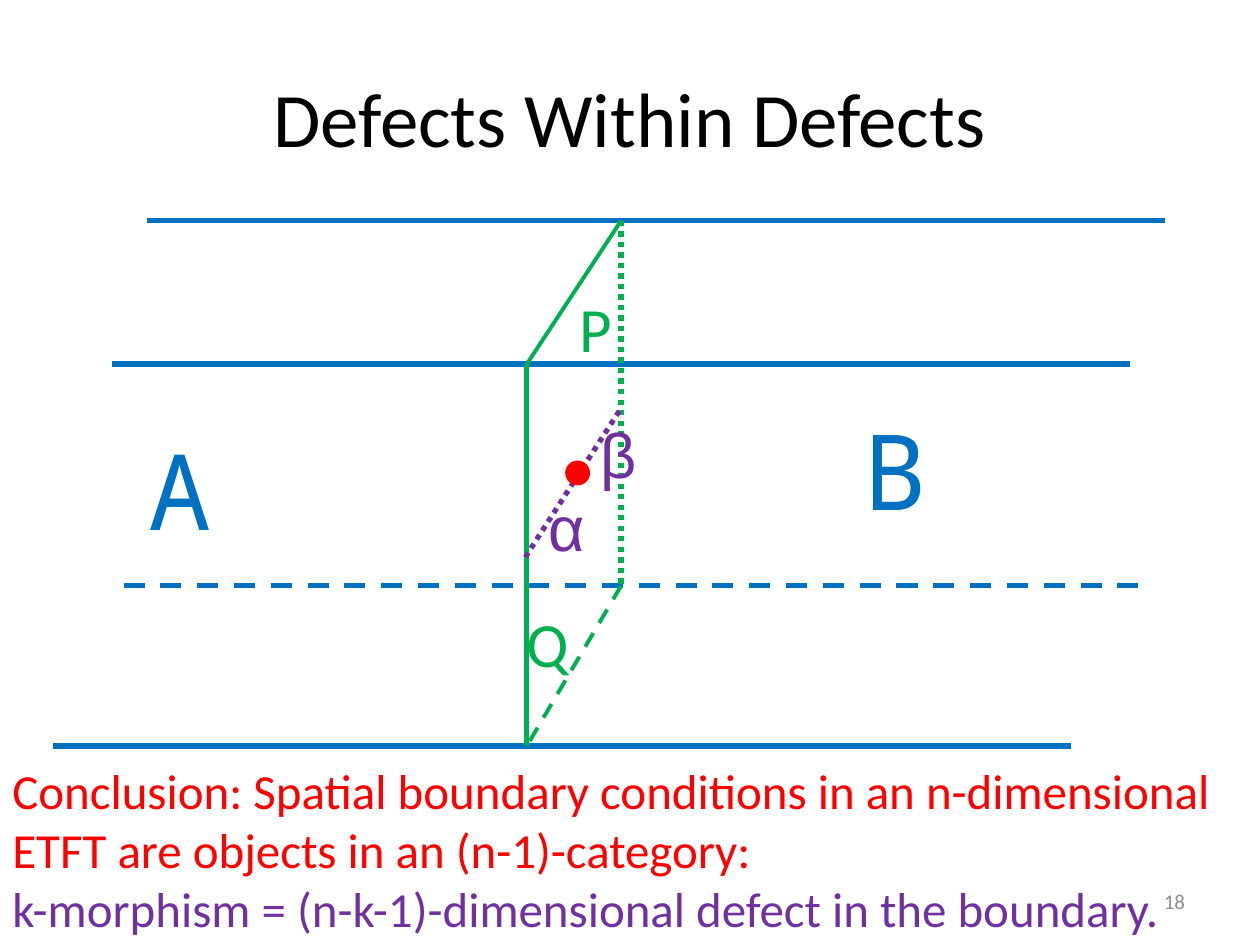
from dataclasses import dataclass
from typing import Optional

from lxml.etree import SubElement
from pptx import Presentation
from pptx.dml.color import RGBColor
from pptx.enum.dml import MSO_LINE
from pptx.enum.shapes import MSO_CONNECTOR, MSO_SHAPE
from pptx.enum.text import MSO_ANCHOR, PP_ALIGN
from pptx.oxml.ns import qn
from pptx.util import Cm, Pt


@dataclass(frozen=True)
class Theme:
    black: str = "000000"
    blue: str = "0070C0"
    green: str = "00B050"
    purple: str = "7030A0"
    red: str = "FF0000"
    gray: str = "8C8C8C"
    sans: str = "Calibri"
    greek: str = "Arial"
    mono: str = "Noto Sans Mono"
    title: int = 44
    region: int = 60
    label: int = 36
    body: int = 28
    small: int = 12
    thick: float = 3
    thin: float = 2.25


@dataclass(frozen=True)
class Edge:
    start: tuple[float, float]
    end: tuple[float, float]
    color: str
    width: float
    dash: Optional[MSO_LINE] = None


@dataclass(frozen=True)
class Label:
    text: str
    box: tuple[float, float, float, float]
    size: int
    color: str
    font: str


def draw_edge(slide, edge: Edge) -> None:
    ends = [Cm(v) for v in edge.start + edge.end]
    line = slide.shapes.add_connector(MSO_CONNECTOR.STRAIGHT, *ends)
    line.line.color.rgb = RGBColor.from_string(edge.color)
    line.line.width = Pt(edge.width)
    if edge.dash:
        line.line.dash_style = edge.dash
    SubElement(line._element.spPr, qn("a:effectLst"))


def add_text(slide, *lines: str, box: tuple[float, float, float, float],
             size: int, colors: tuple[str, ...], font: str,
             align: PP_ALIGN = PP_ALIGN.LEFT,
             anchor: MSO_ANCHOR = MSO_ANCHOR.TOP) -> None:
    frame = slide.shapes.add_textbox(*[Cm(v) for v in box]).text_frame
    frame.word_wrap = True
    frame.vertical_anchor = anchor
    frame.text = "\n".join(lines)
    for para, color in zip(frame.paragraphs, colors):
        para.alignment = align
        para.font.name = font
        para.font.size = Pt(size)
        para.font.color.rgb = RGBColor.from_string(color)


def draw_label(slide, label: Label) -> None:
    add_text(slide, label.text, box=label.box, size=label.size,
             colors=(label.color,), font=label.font)


def draw_dot(slide, left: float, top: float, size: float, color: str) -> None:
    dot = slide.shapes.add_shape(MSO_SHAPE.OVAL, Cm(left), Cm(top), Cm(size), Cm(size))
    dot.shadow.inherit = False
    dot.fill.solid()
    dot.fill.fore_color.rgb = dot.line.color.rgb = RGBColor.from_string(color)
    dot.line.width = Pt(2)


def main() -> None:
    theme = Theme()
    deck = Presentation()
    deck.slide_width, deck.slide_height = Cm(25.4), Cm(19.05)
    slide = deck.slides.add_slide(deck.slide_layouts[6])

    add_text(slide, "Defects Within Defects", box=(1.27, 0.76, 22.86, 3.18),
             size=theme.title, colors=(theme.black,), font=theme.sans,
             align=PP_ALIGN.CENTER, anchor=MSO_ANCHOR.MIDDLE)

    span = 20.52
    back_top, back_low = (12.52, 4.45), (12.52, 11.81)
    front_top, front_low = (10.62, 7.34), (10.62, 15.04)
    dots, dashes = MSO_LINE.ROUND_DOT, MSO_LINE.SQUARE_DOT
    dots, dashes = MSO_LINE.ROUND_DOT, MSO_LINE.DASH
    rows = [(2.97, back_top, None), (1.07, front_low, None),
            (2.26, front_top, None), (2.49, back_low, dashes)]
    edges = [Edge((left, y), (left + span, y), theme.blue, theme.thick, dash)
             for left, (_, y), dash in rows]
    edges += [
        Edge(back_top, front_top, theme.green, theme.thin),
        Edge(front_top, front_low, theme.green, theme.thick),
        Edge(back_top, back_low, theme.green, theme.thick, dots),
        Edge(back_low, front_low, theme.green, theme.thin, dashes),
        Edge((10.59, 11.23), (12.5, 8.26), theme.purple, theme.thick, dots),
    ]
    for edge in edges:
        draw_edge(slide, edge)
    draw_dot(slide, 11.43, 9.32, 0.43, theme.red)

    labels = [
        Label("P", (11.43, 5.72, 4.65, 1.8), theme.label, theme.green, theme.sans),
        Label("Q", (10.36, 12.07, 5.08, 1.8), theme.label, theme.green, theme.sans),
        Label("α", (10.8, 9.73, 3.61, 1.8), theme.label, theme.purple, theme.greek),
        Label("β", (11.86, 8.26, 4.65, 1.8), theme.label, theme.purple, theme.greek),
        Label("A", (2.74, 8.46, 4.01, 2.82), theme.region, theme.blue, theme.mono),
        Label("B", (17.15, 8.05, 4.88, 2.82), theme.region, theme.blue, theme.mono),
    ]
    for label in labels:
        draw_label(slide, label)

    add_text(slide,
             "Conclusion: Spatial boundary conditions in an n-dimensional "
             "ETFT are objects in an (n-1)-category:",
             "k-morphism = (n-k-1)-dimensional defect in the boundary.",
             box=(0, 15.21, 24.77, 3.84), size=theme.body,
             colors=(theme.red, theme.purple), font=theme.sans)
    add_text(slide, "18", box=(18.21, 17.65, 5.93, 1.02), size=theme.small,
             colors=(theme.gray,), font=theme.sans,
             align=PP_ALIGN.RIGHT, anchor=MSO_ANCHOR.MIDDLE)

    deck.save("out.pptx")


if __name__ == "__main__":
    main()
